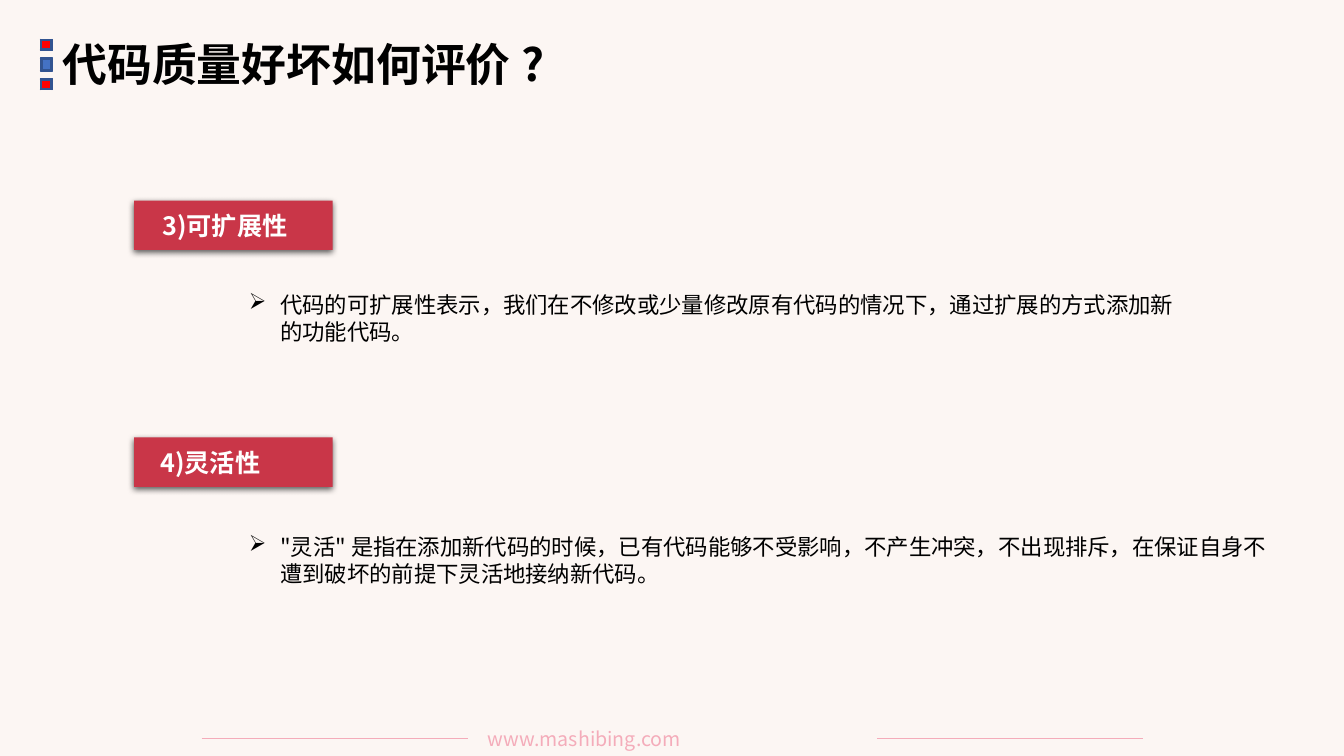
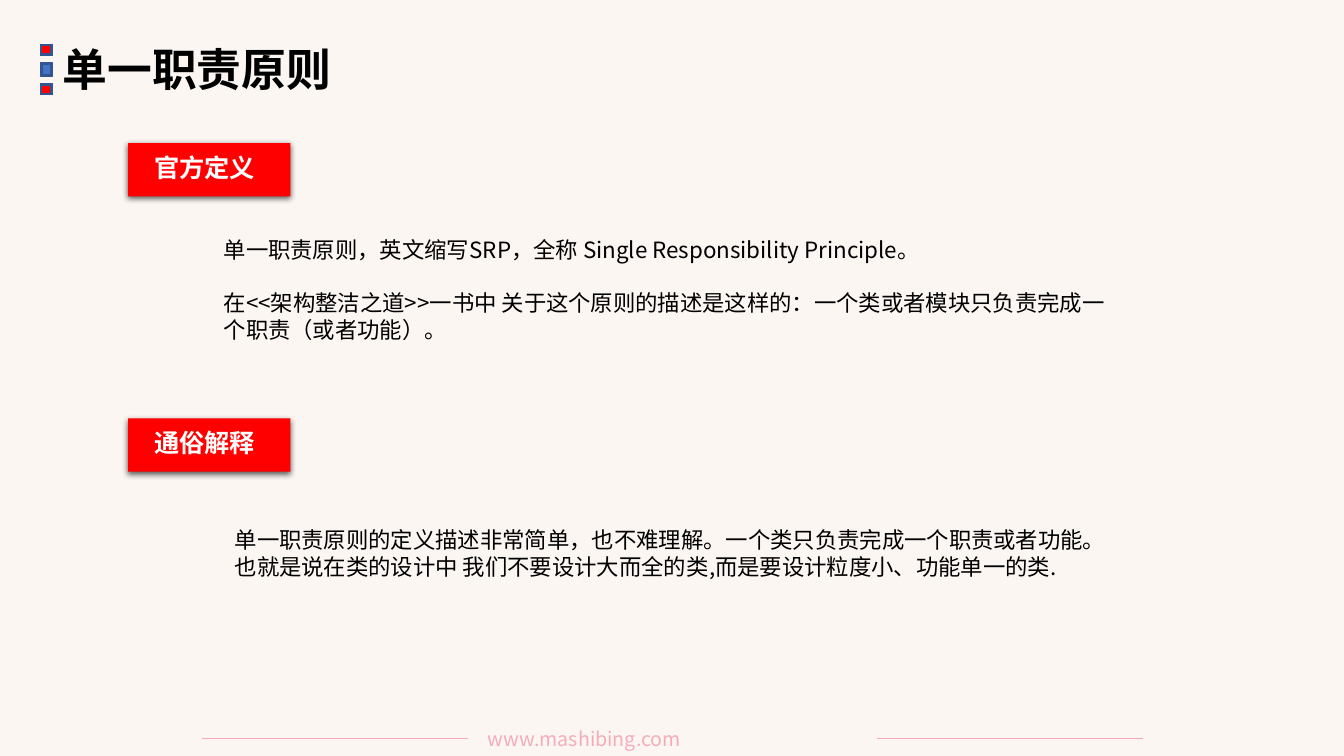
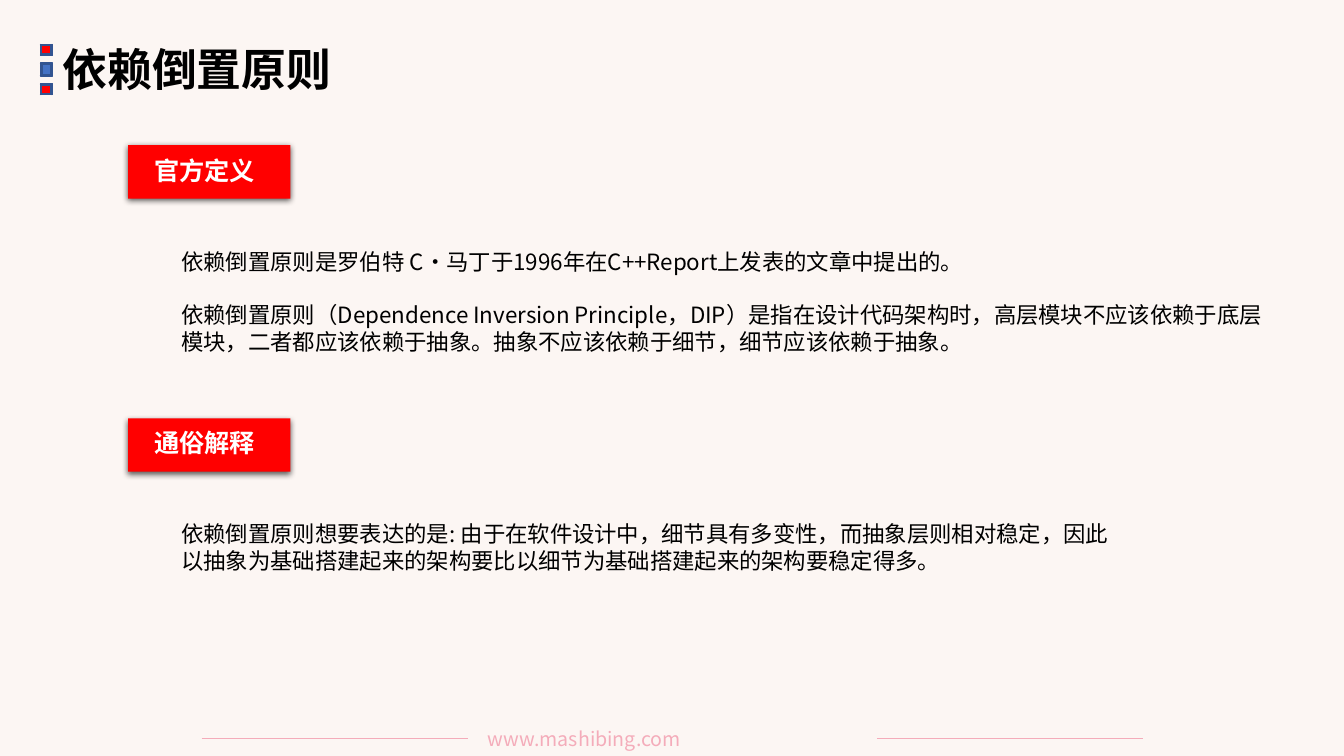
"""Build three slides on code quality and design principles."""
import pptx
import pptx.dml.color
import pptx.enum.shapes
import pptx.enum.text
import pptx.oxml
import pptx.oxml.ns
import pptx.util

Inches = pptx.util.Inches
Pt = pptx.util.Pt
RGBColor = pptx.dml.color.RGBColor
Shape = pptx.enum.shapes.MSO_SHAPE
Align = pptx.enum.text.PP_ALIGN

FONT = "Noto Sans CJK SC"
CREAM = RGBColor(0xFC, 0xF6, 0xF3)
PINK = RGBColor(0xF4, 0xAC, 0xBA)
CRIMSON = RGBColor(0xC9, 0x36, 0x48)
RED = RGBColor(0xFF, 0x00, 0x00)
BLUE = RGBColor(0x44, 0x72, 0xC4)
NAVY = RGBColor(0x32, 0x54, 0x91)
BLACK = RGBColor(0x00, 0x00, 0x00)
WHITE = RGBColor(0xFF, 0xFF, 0xFF)

WIDTH, HEIGHT = 13.33, 7.5
BODY_SIZE = 16
BODY_GAP = 19.2
BULLET_INDENT = 0.31
FOOTER = "www.mashibing.com"
FOOTER_Y = 7.33
FOOTER_LINES = [2, 8.7]
FOOTER_LINE_WIDTH = 2.64
MARKERS = [(0.08, 0.11, RED), (0.265, 0.13, BLUE), (0.47, 0.11, RED)]

CRIMSON_TAG = {"left": 1.33, "width": 1.97, "height": 0.49, "fill": CRIMSON}
RED_TAG = {"left": 1.27, "width": 1.61, "height": 0.53, "fill": RED}

PAGES = [
    {"title": "代码质量好坏如何评价 ?", "top": 0.31, "tag": CRIMSON_TAG, "bullet": "➢", "sections": [
        {"label": "3)可扩展性", "top": 1.99, "inset": (0.28, 0.1), "body": (2.37, 2.84, 9.52, 0.64),
         "text": ["代码的可扩展性表示，我们在不修改或少量修改原有代码的情况下，通过扩展的方式添加新的功能代码。"]},
        {"label": "4)灵活性", "top": 4.34, "inset": (0.26, 0.1), "body": (2.37, 5.24, 10.39, 0.64),
         "text": ["\"灵活\" 是指在添加新代码的时候，已有代码能够不受影响，不产生冲突，不出现排斥，"
                  "在保证自身不遭到破坏的前提下灵活地接纳新代码。"]},
    ]},
    {"title": "单一职责原则", "top": 0.36, "tag": RED_TAG, "bullet": None, "sections": [
        {"label": "官方定义", "top": 1.42, "inset": (0.26, 0.09), "body": (2.12, 2.29, 9.05, 1.18),
         "text": ["单一职责原则，英文缩写SRP，全称 Single Responsibility Principle。",
                  "在<<架构整洁之道>>一书中 关于这个原则的描述是这样的："
                  "一个类或者模块只负责完成一个职责（或者功能）。"]},
        {"label": "通俗解释", "top": 4.15, "inset": (0.26, 0.09), "body": (2.23, 5.17, 8.83, 0.64),
         "text": ["单一职责原则的定义描述非常简单，也不难理解。一个类只负责完成一个职责或者功能。"
                  "也就是说在类的设计中 我们不要设计大而全的类,而是要设计粒度小、功能单一的类."]},
    ]},
    {"title": "依赖倒置原则", "top": 0.36, "tag": RED_TAG, "bullet": None, "sections": [
        {"label": "官方定义", "top": 1.44, "inset": (0.26, 0.1), "body": (1.7, 2.41, 10.99, 1.18),
         "text": ["依赖倒置原则是罗伯特 C·马丁于1996年在C++Report上发表的文章中提出的。",
                  "依赖倒置原则（Dependence Inversion Principle，DIP）是指在设计代码架构时，"
                  "高层模块不应该依赖于底层模块，二者都应该依赖于抽象。"
                  "抽象不应该依赖于细节，细节应该依赖于抽象。"]},
        {"label": "通俗解释", "top": 4.15, "inset": (0.26, 0.09), "body": (1.7, 5.11, 9.42, 0.64),
         "text": ["依赖倒置原则想要表达的是: 由于在软件设计中，细节具有多变性，而抽象层则相对稳定，"
                  "因此以抽象为基础搭建起来的架构要比以细节为基础搭建起来的架构要稳定得多。"]},
    ]},
]


def add_element(parent, tag, **attributes):
    element = parent.makeelement(pptx.oxml.ns.qn(tag), attributes)
    parent.append(element)
    return element


def write(frame, lines, size, color, bold=False, align=Align.LEFT, bullet=None):
    frame.word_wrap = True
    frame.auto_size = pptx.enum.text.MSO_AUTO_SIZE.NONE
    frame.vertical_anchor = pptx.enum.text.MSO_ANCHOR.TOP
    for index, line in enumerate(lines):
        para = frame.add_paragraph() if index else frame.paragraphs[0]
        para.alignment = align
        if index:
            para.space_before = Pt(BODY_GAP)
        if bullet:
            properties = para._p.get_or_add_pPr()
            properties.set("marL", str(Inches(BULLET_INDENT)))
            properties.set("indent", str(-Inches(BULLET_INDENT)))
            add_element(properties, "a:buChar", char=bullet)
        span = para.add_run()
        span.text = line
        span.font.name = FONT
        span.font.size = Pt(size)
        span.font.bold = bold
        span.font.color.rgb = color
        add_element(span._r.get_or_add_rPr(), "a:ea", typeface=FONT)


def add_text(page, place, lines, size, color, **style):
    box = page.shapes.add_textbox(*map(Inches, place))
    write(box.text_frame, lines, size, color, **style)


def add_block(page, kind, place, fill):
    block = page.shapes.add_shape(kind, *map(Inches, place))
    block.shadow.inherit = False
    block.fill.solid()
    block.fill.fore_color.rgb = fill
    return block


def add_footer(page):
    for left in FOOTER_LINES:
        line = page.shapes.add_connector(
            pptx.enum.shapes.MSO_CONNECTOR.STRAIGHT, Inches(left), Inches(FOOTER_Y),
            Inches(left + FOOTER_LINE_WIDTH), Inches(FOOTER_Y))
        line.line.color.rgb = PINK
        line.line.width = Pt(0.5)
        add_element(line._element.spPr, "a:effectLst")
    add_text(page, (4.74, 7.16, 3.85, 0.34), [FOOTER], 14, PINK, align=Align.JUSTIFY)


def add_title(page, text, top):
    title = page.shapes.title
    title.left, title.top, title.width, title.height = map(Inches, (0.52, top, 5.35, 0.64))
    write(title.text_frame, [text], 32, BLACK, bold=True)
    for offset, height, fill in MARKERS:
        marker = add_block(page, Shape.BEVEL, (0.4, top + offset, 0.12, height), fill)
        marker.line.color.rgb = NAVY
        marker.line.width = Pt(1)


def add_tag(page, tag, section):
    place = (tag["left"], section["top"], tag["width"], tag["height"])
    block = add_block(page, Shape.RECTANGLE, place, tag["fill"])
    block.line.fill.background()
    effects = block._element.spPr.find(pptx.oxml.ns.qn("a:effectLst"))
    shadow = add_element(effects, "a:outerShdw", blurRad=str(Pt(4.5)), dist=str(Pt(1.5)),
                         dir="5400000", algn="ctr", rotWithShape="0")
    color = add_element(shadow, "a:srgbClr", val=str(BLACK))
    add_element(color, "a:alpha", val="63000")
    frame = block.text_frame
    frame.margin_left, frame.margin_top = map(Inches, section["inset"])
    frame.margin_right = frame.margin_bottom = 0
    write(frame, [section["label"]], 18, WHITE, bold=True)


def main():
    deck = pptx.Presentation()
    deck.slide_width, deck.slide_height = Inches(WIDTH), Inches(HEIGHT)
    background = deck.slide_master.background.fill
    background.solid()
    background.fore_color.rgb = CREAM
    for content in PAGES:
        page = deck.slides.add_slide(deck.slide_layouts.get_by_name("Title Only"))
        add_footer(page)
        add_title(page, content["title"], content["top"])
        for section in content["sections"]:
            add_tag(page, content["tag"], section)
            add_text(page, section["body"], section["text"], BODY_SIZE, BLACK, bullet=content["bullet"])
    deck.save("out.pptx")


if __name__ == "__main__":
    main()
